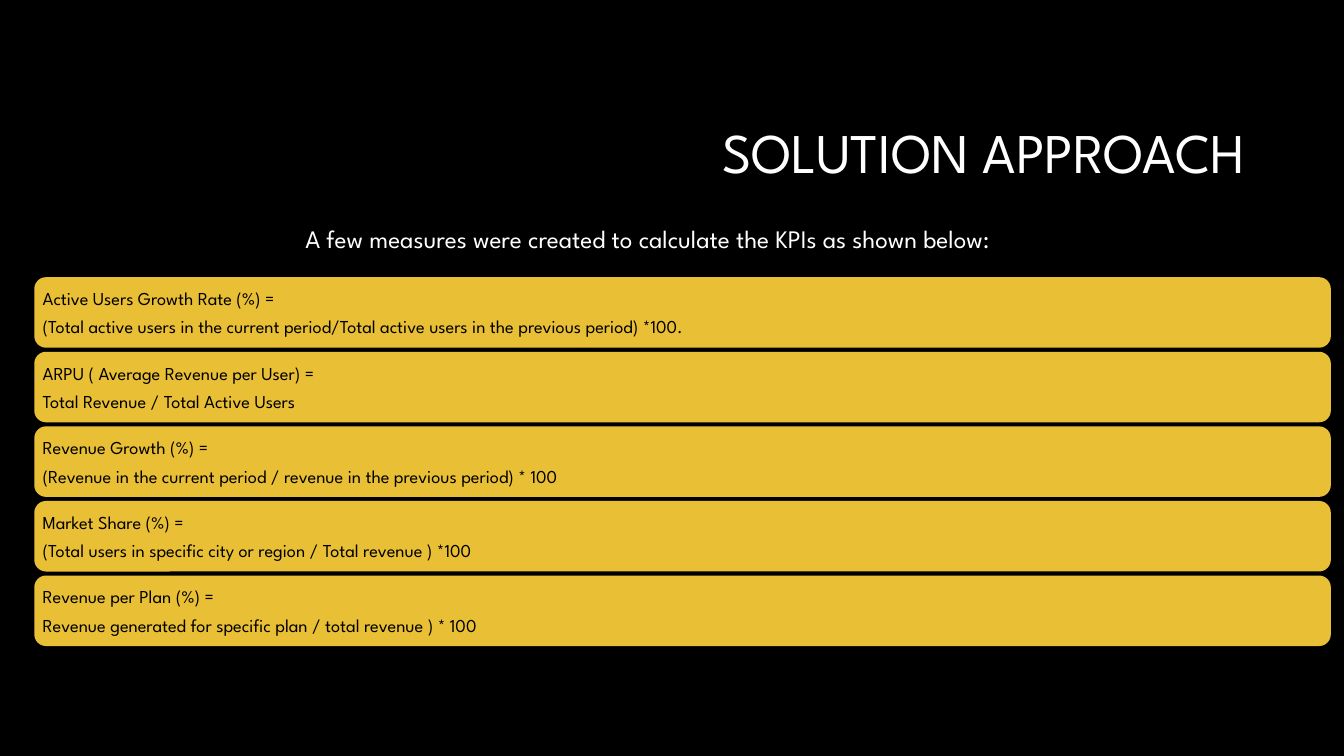
import pptx
import pptx.util
import pptx.dml.color
import pptx.enum.shapes
import pptx.enum.text
from pptx.util import Inches

COLOURS = {"background": "000000", "card": "E9BF35", "light": "FFFFFF", "dark": "000000"}
FONT = "League Spartan"
ALIGN = pptx.enum.text.PP_ALIGN
ANCHOR = pptx.enum.text.MSO_ANCHOR
MEASURES = [
    ("Active Users Growth Rate (%) =",
     "(Total active users in the current period/Total active users in the previous period) *100."),
    ("ARPU ( Average Revenue per User) =",
     "Total Revenue / Total Active Users"),
    ("Revenue Growth (%) =",
     "(Revenue in the current period / revenue in the previous period) * 100"),
    ("Market Share (%) =",
     "(Total users in specific city or region / Total revenue ) *100"),
    ("Revenue per Plan (%) =",
     "Revenue generated for specific plan / total revenue ) * 100"),
]


def colour(name):
    """Return the named colour."""
    return pptx.dml.color.RGBColor.from_string(COLOURS[name])


def write(frame, *lines, size, ink, align=ALIGN.LEFT, anchor=ANCHOR.MIDDLE,
          wrap=True, after=0, spacing=None):
    """Write formatted lines into a text frame, one paragraph each."""
    frame.word_wrap = wrap
    frame.vertical_anchor = anchor
    for index, line in enumerate(lines):
        paragraph = frame.add_paragraph() if index else frame.paragraphs[0]
        paragraph.alignment = align
        paragraph.space_after = pptx.util.Pt(after)
        paragraph.line_spacing = spacing
        run = paragraph.add_run()
        run.text = line
        run.font.size = pptx.util.Pt(size)
        run.font.name = FONT
        run.font.color.rgb = colour(ink)


class SlideBuilder:
    """Hold the style and the current slide."""

    def __init__(self, presentation):
        """Add a title-only slide with a plain background."""
        self.slide = presentation.slides.add_slide(presentation.slide_layouts[5])
        fill = self.slide.background.fill
        fill.solid()
        fill.fore_color.rgb = colour("background")

    def title(self, text, left, top, width, height):
        """Place and format the title."""
        shape = self.slide.shapes.title
        shape.left, shape.top = Inches(left), Inches(top)
        shape.width, shape.height = Inches(width), Inches(height)
        write(shape.text_frame, text, size=40, ink="light", align=ALIGN.RIGHT, spacing=0.9)

    def caption(self, text, left, top, width, height):
        """Add a single line of text."""
        shape = self.slide.shapes.add_textbox(
            Inches(left), Inches(top), Inches(width), Inches(height))
        write(shape.text_frame, text, size=18, ink="light", anchor=ANCHOR.TOP, wrap=False)

    def card(self, lines, left, top, width, height):
        """Add a rounded card holding a measure and its formula."""
        shape = self.slide.shapes.add_shape(
            pptx.enum.shapes.MSO_SHAPE.ROUNDED_RECTANGLE,
            Inches(left), Inches(top), Inches(width), Inches(height))
        shape.shadow.inherit = False
        shape.fill.solid()
        shape.fill.fore_color.rgb = colour("card")
        shape.line.fill.background()
        frame = shape.text_frame
        frame.margin_left = frame.margin_right = Inches(0.05)
        frame.margin_top = frame.margin_bottom = Inches(0.05)
        write(frame, *lines, size=13, ink="dark", after=4.55)


def main():
    """Build and save the slide."""
    presentation = pptx.Presentation()
    presentation.slide_width, presentation.slide_height = Inches(13.33), Inches(7.5)
    builder = SlideBuilder(presentation)
    builder.title("SOLUTION APPROACH ", 3.17, 0.84, 9.42, 1.41)
    for row, lines in enumerate(MEASURES):
        builder.card(lines, 0.34, 2.75 + row * 0.74, 12.86, 0.7)
    builder.caption("A few measures were created to calculate the KPIs as shown below:",
                    2.93, 2.17, 8.56, 0.71)
    presentation.save("out.pptx")


if __name__ == "__main__":
    main()
